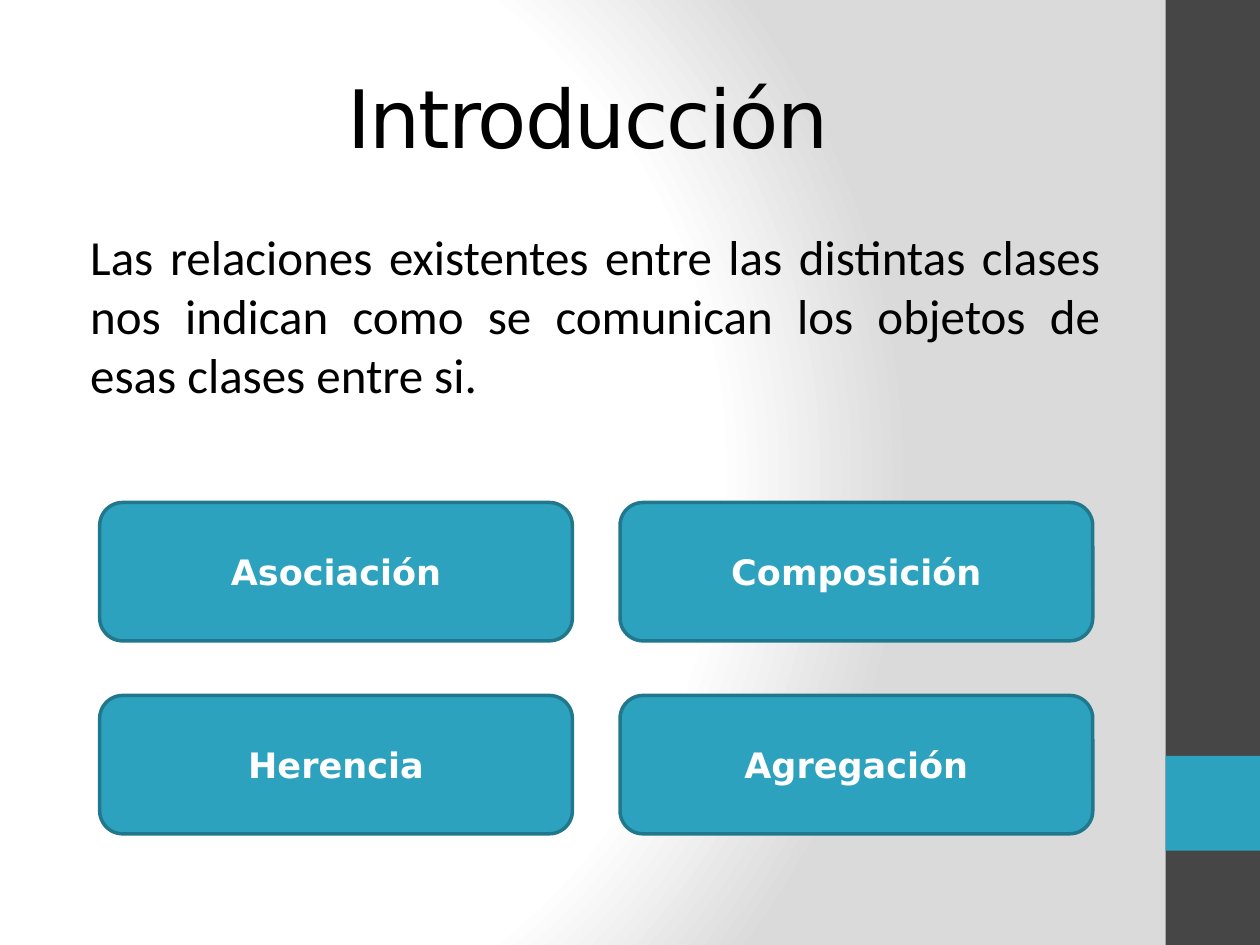
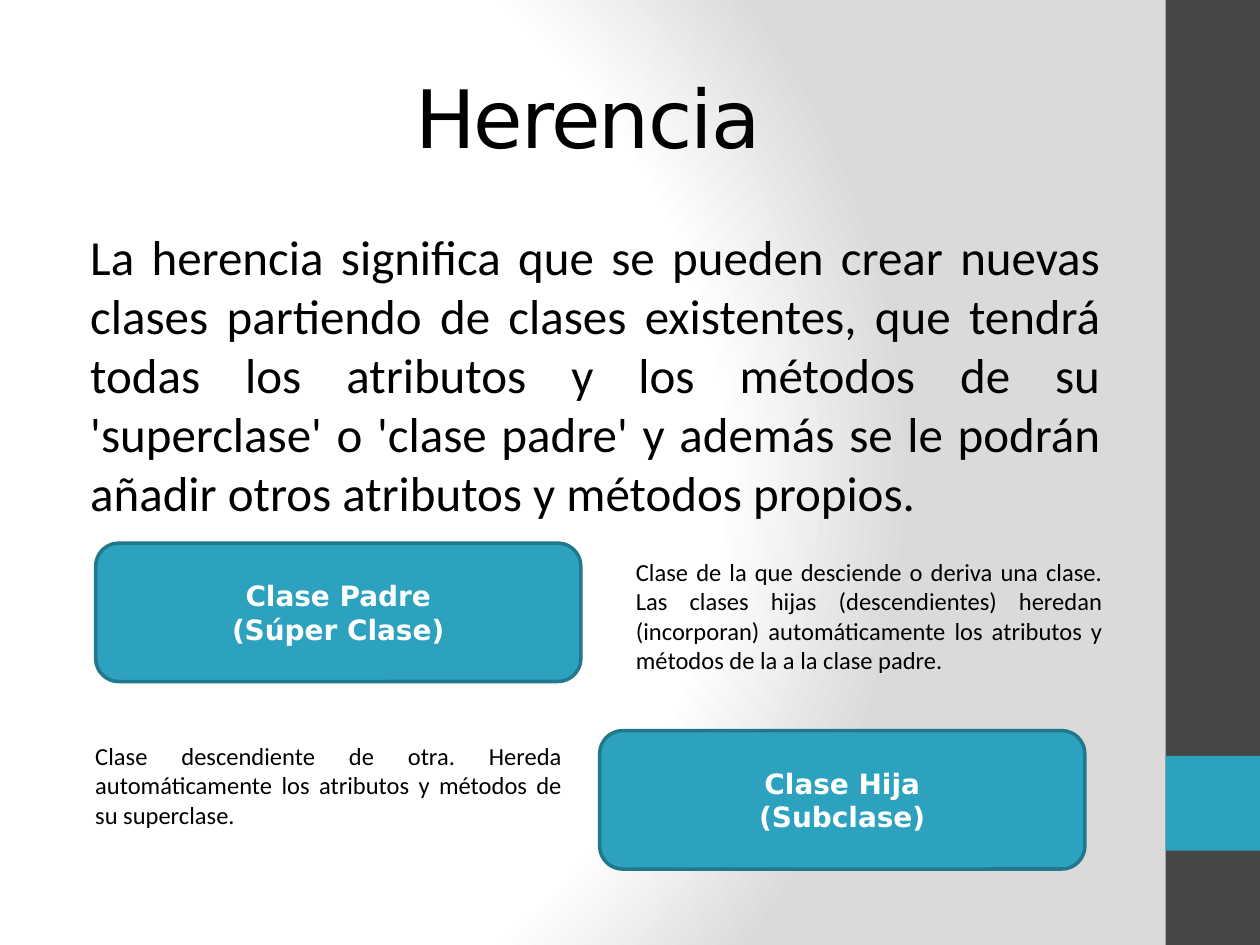
from dataclasses import dataclass

from pptx import Presentation
from pptx.dml.color import RGBColor as RGB
from pptx.enum.shapes import MSO_SHAPE as SHAPE
from pptx.enum.text import MSO_ANCHOR as ANCHOR, PP_ALIGN as ALIGN
from pptx.oxml import parse_xml
from pptx.oxml.ns import nsdecls, qn
from pptx.util import Cm, Pt


@dataclass(frozen=True)
class Theme:
    # Colours
    accent: str = "2DA2BF"
    accent_line: str = "21788D"
    band: str = "464646"
    text: str = "000000"
    light: str = "FFFFFF"
    shade: str = "DADADA"
    # Fonts and sizes
    head_font: str = "DejaVu Sans"
    body_font: str = "Calibri"
    title_size: int = 46
    body_size: int = 28
    box_size: int = 20
    small_box_size: int = 16
    note_size: int = 14


T = Theme()
BOX_HEIGHT = 2.79


# Shared look
def set_background(master):
    """Radial gradient, light at the left and shaded at the right."""
    master.background.fill.solid()
    bg = master.element.cSld.find(qn("p:bg")).find(qn("p:bgPr"))
    stops = "".join(
        f'<a:gs pos="{pos * 1000}"><a:srgbClr val="{color}"/></a:gs>'
        for pos, color in ((0, T.light), (75, T.light), (100, T.shade)))
    gradient = parse_xml(
        f'<a:gradFill {nsdecls("a")} rotWithShape="1"><a:gsLst>{stops}</a:gsLst>'
        '<a:path path="circle">'
        '<a:fillToRect l="20000" t="50000" r="100000" b="50000"/>'
        '</a:path></a:gradFill>')
    bg.replace(bg.find(qn("a:solidFill")), gradient)


def new_slide(prs, title, body):
    slide = prs.slides.add_slide(prs.slide_layouts[6])
    # Side band with its accent block
    add_shape(slide, SHAPE.RECTANGLE, 23.5, 0, 1.9, 19.05, T.band)
    add_shape(slide, SHAPE.RECTANGLE, 23.5, 15.24, 1.9, 1.91, T.accent)
    # Title and main paragraph
    tf = add_textbox(slide, 1.27, 0.76, 21.16, 3.18)
    tf.vertical_anchor = ANCHOR.MIDDLE
    write(tf, title, T.head_font, T.title_size, T.text, spacing=-1)
    add_paragraph(slide, body, 1.27, 4.45, 21.16, 2.49, T.body_size)
    return slide


# Elements
def add_shape(slide, kind, x, y, w, h, fill, line=None):
    sp = slide.shapes.add_shape(kind, Cm(x), Cm(y), Cm(w), Cm(h))
    sp.shadow.inherit = False
    sp.fill.solid()
    sp.fill.fore_color.rgb = RGB.from_string(fill)
    if line:
        sp.line.color.rgb = RGB.from_string(line)
        sp.line.width = Pt(2)
    else:
        sp.line.fill.background()
    return sp


def add_textbox(slide, x, y, w, h):
    tf = slide.shapes.add_textbox(Cm(x), Cm(y), Cm(w), Cm(h)).text_frame
    tf.word_wrap = True
    return tf


def write(tf, text, font, size, color, align=ALIGN.CENTER, bold=False, spacing=0):
    p = tf.paragraphs[0]
    p.text = text
    p.alignment = align
    for r in p.runs:
        r.font.name = font
        r.font.size = Pt(size)
        r.font.bold = bold
        r.font.color.rgb = RGB.from_string(color)
        if spacing:
            r.font._element.set("spc", str(spacing * 100))
    return p


def add_paragraph(slide, text, x, y, w, h, size):
    """Justified, slightly indented body text."""
    tf = add_textbox(slide, x, y, w, h)
    p = write(tf, text, T.body_font, size, T.text, ALIGN.JUSTIFY)
    p.space_before = Pt(0.2 * size)
    pPr = p._p.get_or_add_pPr()
    pPr.set("marL", str(Cm(0.3)))
    pPr.set("indent", "0")


def add_box(slide, text, x, y, w, size):
    sp = add_shape(slide, SHAPE.ROUNDED_RECTANGLE, x, y, w, BOX_HEIGHT,
                   T.accent, T.accent_line)
    sp.text_frame.vertical_anchor = ANCHOR.MIDDLE
    write(sp.text_frame, text, T.head_font, size, T.light, bold=True)


# Slides
def introduction(prs):
    slide = new_slide(
        prs, "Introducción",
        "Las relaciones existentes entre las distintas clases nos indican "
        "como se comunican los objetos de esas clases entre si.")
    relations = (("Asociación", "Composición"), ("Herencia", "Agregación"))
    for row, names in enumerate(relations):
        for col, name in enumerate(names):
            add_box(slide, name, 2.01 + col * 10.49, 10.13 + row * 3.89,
                    9.53, T.box_size)


def inheritance(prs):
    slide = new_slide(
        prs, "Herencia",
        "La herencia significa que se pueden crear nuevas clases partiendo de "
        "clases existentes, que tendrá todas los atributos y los métodos de su "
        "'superclase' o 'clase padre' y además se le podrán añadir otros "
        "atributos y métodos propios.")
    # Name, box position, definition, definition position
    classes = (
        ("Clase Padre\v(Súper Clase)", 1.93, 10.95,
         "Clase de la que desciende o deriva una clase. Las clases hijas "
         "(descendientes) heredan (incorporan) automáticamente los atributos y "
         "métodos de la a la clase padre.", 12.27, 11.1),
        ("Clase Hija\v(Subclase)", 12.09, 14.73,
         "Clase descendiente de otra. Hereda automáticamente los atributos y "
         "métodos de su superclase.", 1.37, 14.81),
    )
    for name, box_x, box_y, definition, x, y in classes:
        add_box(slide, name, box_x, box_y, 9.78, T.small_box_size)
        add_paragraph(slide, definition, x, y, 10.21, 2.64, T.note_size)


def main():
    prs = Presentation()
    prs.slide_width, prs.slide_height = Cm(25.4), Cm(19.05)
    set_background(prs.slide_master)
    introduction(prs)
    inheritance(prs)
    prs.save("out.pptx")


main()
